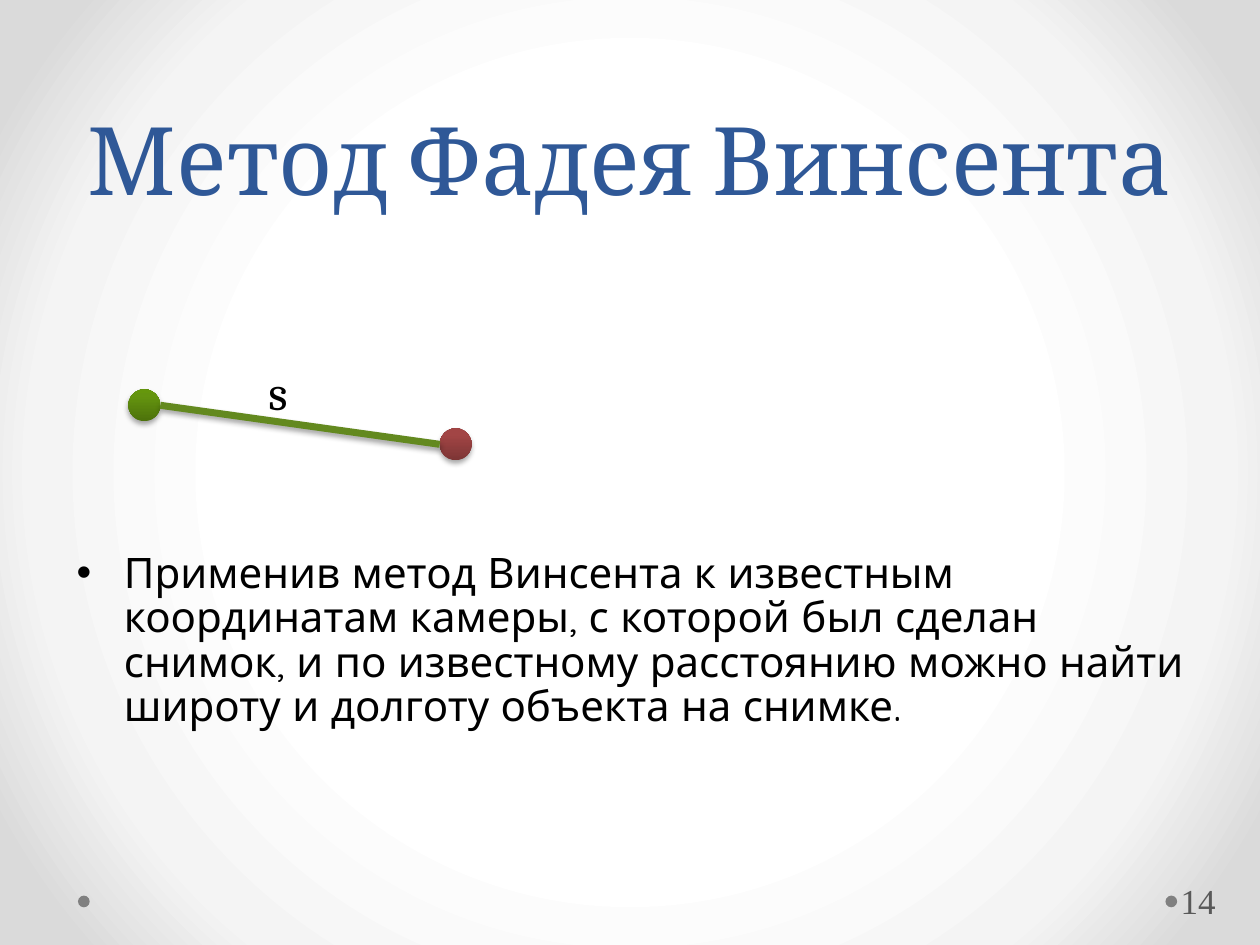
from pptx import Presentation
from pptx.dml.color import RGBColor
from pptx.enum.shapes import MSO_CONNECTOR as Connector, MSO_SHAPE as Shape
from pptx.enum.text import MSO_ANCHOR as Anchor, PP_ALIGN as Align
from pptx.oxml import parse_xml
from pptx.oxml.ns import nsdecls, qn
from pptx.oxml.xmlchemy import OxmlElement
from pptx.util import Pt

# Content
TITLE = "Метод Фадея Винсента"
BODY = ("Применив метод Винсента к известным координатам камеры, с которой был "
        "сделан снимок, и по известному расстоянию можно найти широту и долготу "
        "объекта на снимке.")
DISTANCE_LABEL = "s"
PAGE_NUMBER = "14"

THEME = {
    "title": ("Cambria", 54, "2F5897"),
    "body": ("Quicksand", 24, "000000"),
    "label": ("Cambria", 28, "000000"),
    "number": ("Times New Roman", 20, "595959"),
    "dot": "808080",
    "line": "63891F",
    "background": [(50, "FFFFFF"), (76, "F4F4F4"), (92, "DADADA")],
    "camera": [(0, "4D720B"), (80, "64940F"), (100, "65970C")],
    "target": [(0, "7D3535"), (80, "A24545"), (100, "A44343")],
}
UPWARD = '<a:lin ang="16200000" scaled="0"/>'
RADIAL = ('<a:path path="circle"><a:fillToRect l="50000" t="50000" '
          'r="50000" b="50000"/></a:path>')

# Places, in points
BALL = 18.2
CAMERA = (73.4, 222.5)
TARGET = (251.3, 244.8)
DOT = 6.7
DOT_TOP = 511.8
DOT_LEFTS = (44.6, 666)


def style_text(paragraph, role):
    name, size, color = THEME[role]
    for run in paragraph.runs:
        run.font.name, run.font.size = name, Pt(size)
        run.font.color.rgb = RGBColor.from_string(color)


def set_gradient(fill, owner, stops, direction):
    fill.gradient()
    old = owner.find(".//" + qn("a:gradFill"))
    stop_xml = "".join(f'<a:gs pos="{position * 1000}"><a:srgbClr val="{color}"/></a:gs>'
                       for position, color in stops)
    new = parse_xml(f'<a:gradFill {nsdecls("a")} rotWithShape="1"><a:gsLst>{stop_xml}'
                    f'</a:gsLst>{direction}</a:gradFill>')
    old.getparent().replace(old, new)


def add_shadow(shape):
    properties = shape.element.spPr
    for old in properties.findall(qn("a:effectLst")):
        properties.remove(old)
    properties.append(parse_xml(
        f'<a:effectLst {nsdecls("a")}><a:outerShdw blurRad="{Pt(3.1)}" dist="{Pt(1.8)}" '
        'dir="5400000" rotWithShape="0"><a:srgbClr val="000000"><a:alpha val="35000"/>'
        '</a:srgbClr></a:outerShdw></a:effectLst>'))


def add_circle(shapes, kind, left, top, size):
    circle = shapes.add_shape(kind, Pt(left), Pt(top), Pt(size), Pt(size))
    circle.shadow.inherit = False
    circle.line.fill.background()
    return circle


def add_text(shapes, text, role, left, top, width, height, wrap=True):
    box = shapes.add_textbox(Pt(left), Pt(top), Pt(width), Pt(height))
    frame = box.text_frame
    frame.word_wrap = wrap
    frame.text = text
    style_text(frame.paragraphs[0], role)
    return frame


def add_bullet(paragraph, indent):
    properties = paragraph._p.get_or_add_pPr()
    properties.set("marL", str(Pt(indent)))
    properties.set("indent", str(-Pt(indent)))
    font = OxmlElement("a:buFont")
    font.set("typeface", "Arial")
    bullet = OxmlElement("a:buChar")
    bullet.set("char", "•")
    properties.extend([font, bullet])


def main():
    presentation = Presentation()
    presentation.slide_width, presentation.slide_height = Pt(720), Pt(540)
    slide = presentation.slides.add_slide(presentation.slide_layouts[5])
    shapes = slide.shapes
    set_gradient(slide.background.fill, slide.element, THEME["background"], RADIAL)

    # Footer dots
    for left in DOT_LEFTS:
        dot = add_circle(shapes, Shape.OVAL, left, DOT_TOP, DOT)
        dot.fill.solid()
        dot.fill.fore_color.rgb = RGBColor.from_string(THEME["dot"])

    # Title
    title = shapes.title
    title.left, title.top, title.width, title.height = Pt(36), Pt(0), Pt(648), Pt(126)
    title.text_frame.text = TITLE
    title.text_frame.vertical_anchor = Anchor.BOTTOM
    heading = title.text_frame.paragraphs[0]
    heading.alignment = Align.CENTER
    heading.line_spacing = Pt(58)
    style_text(heading, "title")

    # Body
    body = add_text(shapes, BODY, "body", 36.7, 312.5, 648, 146)
    body.paragraphs[0].line_spacing = 0.88
    add_bullet(body.paragraphs[0], 27)

    # Page number
    number = add_text(shapes, PAGE_NUMBER, "number", 672.5, 500.4, 44, 28.8)
    number.vertical_anchor = Anchor.MIDDLE
    number.margin_left = Pt(2.2)
    number.margin_right = Pt(3.6)

    # Camera and target joined by the known distance
    diagram = shapes.add_group_shape().shapes
    for place, role in ((CAMERA, "camera"), (TARGET, "target")):
        ball = add_circle(diagram, Shape.FLOWCHART_CONNECTOR, *place, BALL)
        set_gradient(ball.fill, ball.element, THEME[role], UPWARD)
        add_shadow(ball)
    line = diagram.add_connector(
        Connector.STRAIGHT, Pt(CAMERA[0] + BALL), Pt(CAMERA[1] + BALL / 2),
        Pt(TARGET[0]), Pt(TARGET[1] + BALL / 2))
    line.line.color.rgb = RGBColor.from_string(THEME["line"])
    line.line.width = Pt(4)
    add_shadow(line)
    add_text(diagram, DISTANCE_LABEL, "label", 146.2, 203, 26, 41, wrap=False)

    presentation.save("out.pptx")


if __name__ == "__main__":
    main()
